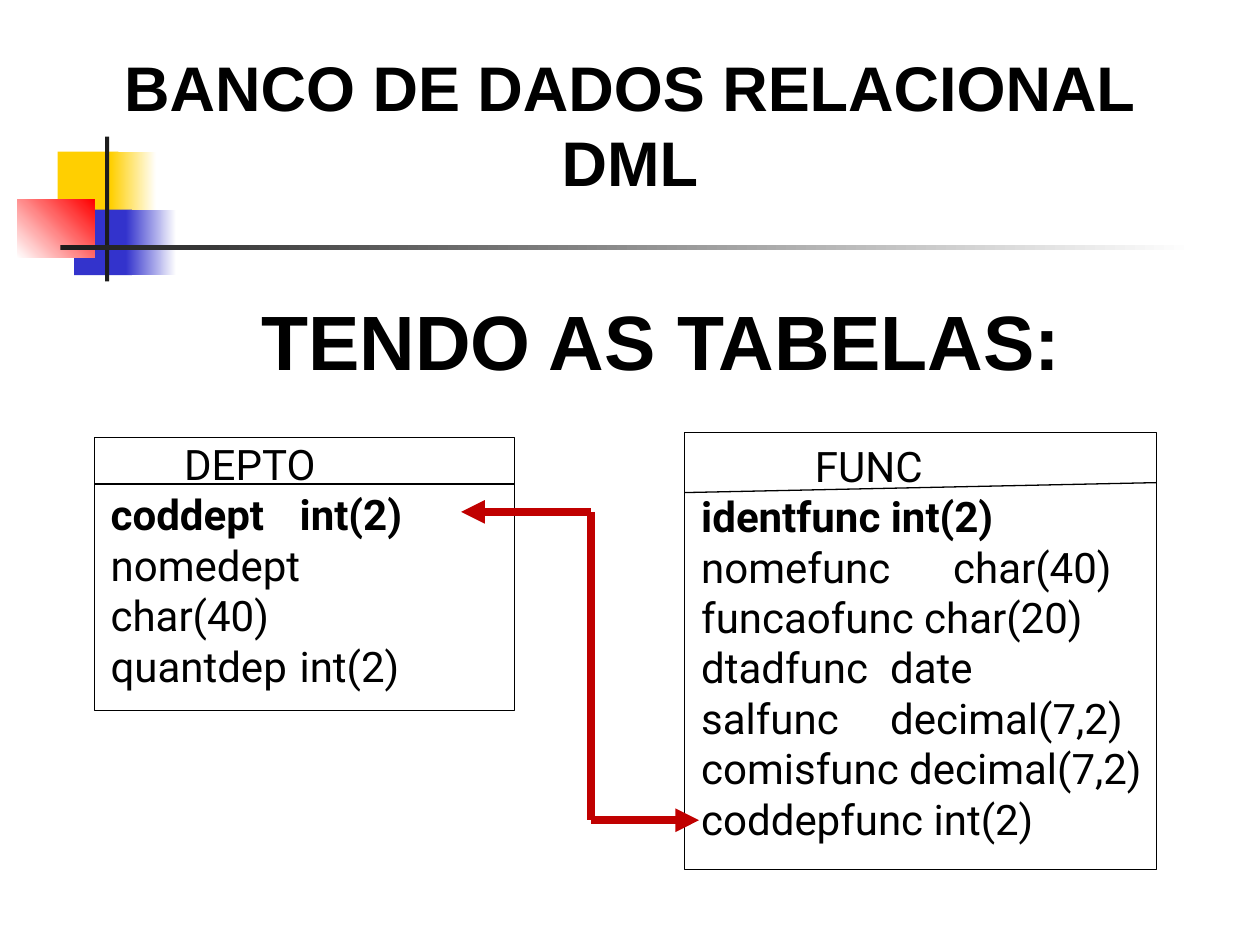
from dataclasses import dataclass

from lxml.etree import SubElement
from pptx import Presentation
from pptx.dml.color import RGBColor
from pptx.enum.shapes import MSO_CONNECTOR, MSO_SHAPE
from pptx.enum.text import MSO_ANCHOR, MSO_AUTO_SIZE, PP_ALIGN
from pptx.oxml.ns import qn
from pptx.util import Pt


@dataclass(frozen=True)
class Theme:
    black: str = "000000"
    white: str = "FFFFFF"
    dark: str = "1C1C1C"
    gold: str = "FFCF01"
    blue: str = "3333CC"
    red: str = "FF0000"
    link: str = "C00000"
    head: str = "Arial"
    body: str = "Roboto"
    title: int = 36
    lead: int = 44
    text: int = 24
    thin: float = 0.75
    thick: float = 4.5


T = Theme()


def color(code):
    return RGBColor.from_string(code)


def place(shape, box):
    shape.left, shape.top, shape.width, shape.height = map(Pt, box)


def write(para, text, size, font=T.body, bold=False, align=PP_ALIGN.LEFT,
          indent=0, tab=None):
    """Fill a paragraph; a tab stop in points places the second column."""
    para.alignment = align
    para.line_spacing = Pt(1.2 * size)
    para.space_before = para.space_after = Pt(0)
    props = para._p.get_or_add_pPr()
    props.set("marL", str(Pt(indent)))
    props.set("indent", "0")
    SubElement(props, qn("a:buNone"))
    if tab:
        stops = SubElement(props, qn("a:tabLst"))
        SubElement(stops, qn("a:tab"), pos=str(Pt(tab)), algn="l")
    run = para.add_run()
    run.text = text
    run.font.name, run.font.size, run.font.bold = font, Pt(size), bold
    run.font.color.rgb = color(T.black)


def setup(frame, left=7.2):
    frame.word_wrap = True
    frame.auto_size = MSO_AUTO_SIZE.NONE
    frame.vertical_anchor = MSO_ANCHOR.TOP
    frame.margin_left, frame.margin_right = Pt(left), Pt(7.2)
    frame.margin_top = frame.margin_bottom = Pt(3.6)


def rect(shapes, box, fill=None, fade=None, angle=0, line=None):
    shape = shapes.add_shape(MSO_SHAPE.RECTANGLE, *map(Pt, box))
    shape.shadow.inherit = False
    if fade:
        shape.fill.gradient()
        shape.fill.gradient_angle = angle
        for stop, code in zip(shape.fill.gradient_stops, (fill, fade)):
            stop.color.rgb = color(code)
    elif fill:
        shape.fill.solid()
        shape.fill.fore_color.rgb = color(fill)
    else:
        shape.fill.background()
    if line:
        shape.line.color.rgb = color(line)
        shape.line.width = Pt(T.thin)
    else:
        shape.line.fill.background()


def rule(shapes, start, end, code=T.black, width=T.thin, arrow=False):
    line = shapes.add_connector(MSO_CONNECTOR.STRAIGHT,
                                *map(Pt, (*start, *end)))
    line.line.color.rgb = color(code)
    line.line.width = Pt(width)
    if arrow:
        SubElement(line.line._get_or_add_ln(), qn("a:tailEnd"), type="triangle")
    SubElement(line._element.spPr, qn("a:effectLst"))


def motif(shapes, box):
    """Coloured blocks crossed by a bar and a fading rule."""
    x, y, w, h = box
    rect(shapes, (x + 23, y + 8.6, 34.6, 37.4), T.gold)
    rect(shapes, (x + 53.3, y + 8.6, 26, 37.4), T.gold, T.white)
    rect(shapes, (x + 32.4, y + 41.8, 33, 37.4), T.blue)
    rect(shapes, (x + 62, y + 41.8, 28.8, 37.4), T.blue, T.white)
    rect(shapes, (x, y + 36, 44, 33.4), T.white, T.red, angle=45)
    rect(shapes, (x + 50, y, 2.4, h), T.dark)
    rect(shapes, (x + 24.5, y + 62.3, w - 24.5, 2.6), T.dark, T.white)


def heading(holder, box, lines, size):
    place(holder, box)
    frame = holder.text_frame
    setup(frame)
    for i, text in enumerate(lines):
        para = frame.add_paragraph() if i else frame.paragraphs[0]
        write(para, text, size, T.head, True, PP_ALIGN.CENTER)


def table(shapes, box, name, indent, rows, drop, inset, ends):
    """Framed entity: a name, a rule and its fields; the key is bold."""
    x, y, w, h = box
    rect(shapes, box, line=T.black)
    area = shapes.add_textbox(*map(Pt, (x, y + drop, w + 5, h)))
    frame = area.text_frame
    setup(frame, inset)
    write(frame.paragraphs[0], name, T.text, indent=indent)
    for i, (text, tab) in enumerate(rows):
        write(frame.add_paragraph(), text, T.text, bold=i == 0, tab=tab)
    rule(shapes, (x, y + ends[0]), (x + w, y + ends[1]))


def link(shapes, box, bend):
    """Elbow with an arrowhead at each end."""
    x, y, w, h = box
    parts = shapes.add_group_shape().shapes
    style = {"code": T.link, "width": T.thick}
    rule(parts, (bend, y), (x, y), arrow=True, **style)
    rule(parts, (bend, y), (bend, y + h), **style)
    rule(parts, (bend, y + h), (x + w, y + h), arrow=True, **style)


def main():
    deck = Presentation()
    deck.slide_width, deck.slide_height = Pt(720), Pt(540)
    slide = deck.slides.add_slide(deck.slide_layouts[1])
    shapes = slide.shapes

    # Headings and template motif
    motif(shapes, (10, 78, 672.5, 82.8))
    heading(shapes.title, (0, 24, 720, 93.6),
            ("BANCO DE DADOS RELACIONAL", "DML"), T.title)
    heading(slide.placeholders[1], (36, 164, 684, 60.5),
            ("TENDO AS TABELAS:",), T.lead)

    # Entities
    table(shapes, (391, 247, 270, 250), "FUNC", 65, (
        ("identfunc int(2)", None),
        ("nomefunc\tchar(40)", 120),
        ("funcaofunc char(20)", None),
        ("dtadfunc\tdate", 119),
        ("salfunc\tdecimal(7,2)", 114),
        ("comisfunc decimal(7,2)", None),
        ("coddepfunc int(2)", None),
    ), drop=1, inset=9.7, ends=(34.5, 28.8))
    table(shapes, (54, 250, 240, 156), "DEPTO", 42, (
        ("coddept\tint(2)", 105.5),
        ("nomedept\tchar(40)", 120),
        ("quantdep\tint(2)", 118.5),
    ), drop=-3, inset=9.2, ends=(26.5, 26.5))

    # Foreign key
    link(shapes, (263.5, 292.5, 136, 176.2), 337.7)
    deck.save("out.pptx")


if __name__ == "__main__":
    main()
